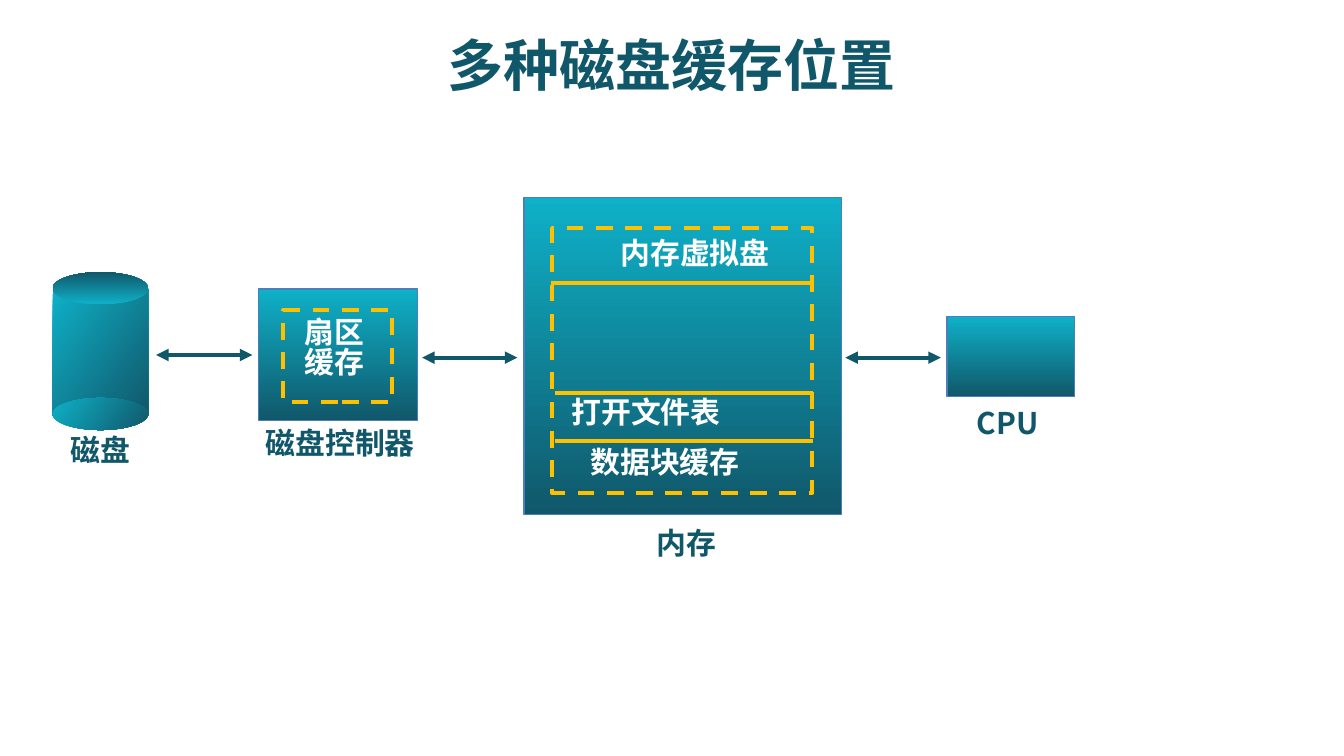
from lxml import etree
from pptx import Presentation
from pptx.dml.color import RGBColor
from pptx.enum.dml import MSO_LINE_DASH_STYLE as Dash
from pptx.enum.shapes import MSO_CONNECTOR as Connector, MSO_SHAPE as Shape
from pptx.enum.text import MSO_ANCHOR as Anchor, PP_ALIGN as Align
from pptx.oxml.ns import qn
from pptx.util import Pt

FONT = "Noto Sans CJK SC"
COLORS = {"dark": "11576A", "light": "0EB1C8", "border": "4B7EBC",
          "cache": "FFC000", "white": "FFFFFF"}

TITLE = ("多种磁盘缓存位置", (36, 16.5, 648, 40.5))
UNITS = {
    "内存": (280.8, 105.8, 170, 170),
    "CPU": (507.4, 169.5, 68.3, 43),
    "磁盘控制器": (138.6, 154.8, 85.2, 70.5),
}
CACHES = {
    "内存": (295.8, 122.2, 139.4, 142),
    "扇区缓存": (151.8, 166.2, 58.3, 49.3),
}
DISK = [
    (Shape.RECTANGLE, (28.2, 154.8, 51.2, 67.7), 36),
    (Shape.OVAL, (28.2, 213.2, 51.2, 17.2), 36),
    (Shape.OVAL, (28.2, 145.8, 51.2, 17.2), 270),
]
DIVIDERS = [(295.4, 434.4, 151.5), (297.2, 435.6, 210.6), (297.2, 435.6, 236.2)]
ARROWS = [(83.6, 135.2, 190.2), (226.1, 277.2, 191.6), (452.9, 504, 191.6)]
LABELS = [
    ("内存虚拟盘", (325.4, 124.6, 102, 28), "white", Align.LEFT, 0.9),
    ("打开文件表", (299.2, 209.6, 158.4, 28), "white", Align.LEFT, 0.9),
    ("数据块缓存", (309.3, 236.2, 124.6, 28), "white", Align.LEFT, 0.9),
    ("扇区\n缓存", (156.2, 168, 59.8, 45.4), "white", Align.LEFT, 0.83),
    ("内存", (296.6, 280, 142, 28), "dark", Align.CENTER, 0.9),
    ("CPU", (516.2, 215.6, 51.2, 28), "dark", Align.LEFT, 0.9),
    ("磁盘控制器", (135.4, 226, 96.5, 28), "dark", Align.LEFT, 0.9),
    ("磁盘", (30.6, 229.8, 51.2, 28), "dark", Align.LEFT, 0.9),
]


def rgb(name):
    return RGBColor.from_string(COLORS[name])


def points(values):
    return [Pt(value) for value in values]


def write(shape, text, size, color, align, spacing):
    frame = shape.text_frame
    frame.text = text
    frame.word_wrap = True
    for paragraph in frame.paragraphs:
        paragraph.alignment = align
        paragraph.line_spacing = spacing
        for run in paragraph.runs:
            run.font.name = FONT
            run.font.size = Pt(size)
            run.font.bold = True
            run.font.color.rgb = rgb(color)
            etree.SubElement(run._r.get_or_add_rPr(), qn("a:ea"), typeface=FONT)


def add_block(slide, kind, box, angle=None, line=None, width=0.75, dash=None):
    shape = slide.shapes.add_shape(kind, *points(box))
    shape.shadow.inherit = False
    if angle is None:
        shape.fill.background()
    else:
        shape.fill.gradient()
        shape.fill.gradient_angle = 360 - angle
        for stop, name, position in zip(shape.fill.gradient_stops, ("light", "dark"), (0, 1)):
            stop.color.rgb = rgb(name)
            stop.position = position
    if line is None:
        shape.line.fill.background()
    else:
        shape.line.color.rgb = rgb(line)
        shape.line.width = Pt(width)
        shape.line.dash_style = dash


def add_line(slide, left, right, y, color, arrows=False):
    connector = slide.shapes.add_connector(Connector.STRAIGHT, *points((left, y, right, y)))
    connector.line.color.rgb = rgb(color)
    connector.line.width = Pt(2.25)
    if arrows:
        for end in ("a:headEnd", "a:tailEnd"):
            etree.SubElement(connector.line._get_or_add_ln(), qn(end), type="triangle")
    etree.SubElement(connector._element.spPr, qn("a:effectLst"))


def main():
    """Build the slide on where disk caches can be placed."""
    presentation = Presentation()
    presentation.slide_width, presentation.slide_height = points((720, 405))
    slide = presentation.slides.add_slide(presentation.slide_layouts[5])

    text, box = TITLE
    title = slide.shapes.title
    title.left, title.top, title.width, title.height = points(box)
    write(title, text, 30, "dark", Align.CENTER, 0.9)
    title.text_frame.vertical_anchor = Anchor.MIDDLE

    for box in UNITS.values():
        add_block(slide, Shape.RECTANGLE, box, 90, "border")
    for box in CACHES.values():
        add_block(slide, Shape.RECTANGLE, box, None, "cache", 2.25, Dash.DASH)
    for kind, box, angle in DISK:
        add_block(slide, kind, box, angle)
    for divider in DIVIDERS:
        add_line(slide, *divider, "cache")
    for arrow in ARROWS:
        add_line(slide, *arrow, "dark", arrows=True)
    for text, box, color, align, spacing in LABELS:
        write(slide.shapes.add_textbox(*points(box)), text, 16, color, align, spacing)

    presentation.save("out.pptx")


if __name__ == "__main__":
    main()
